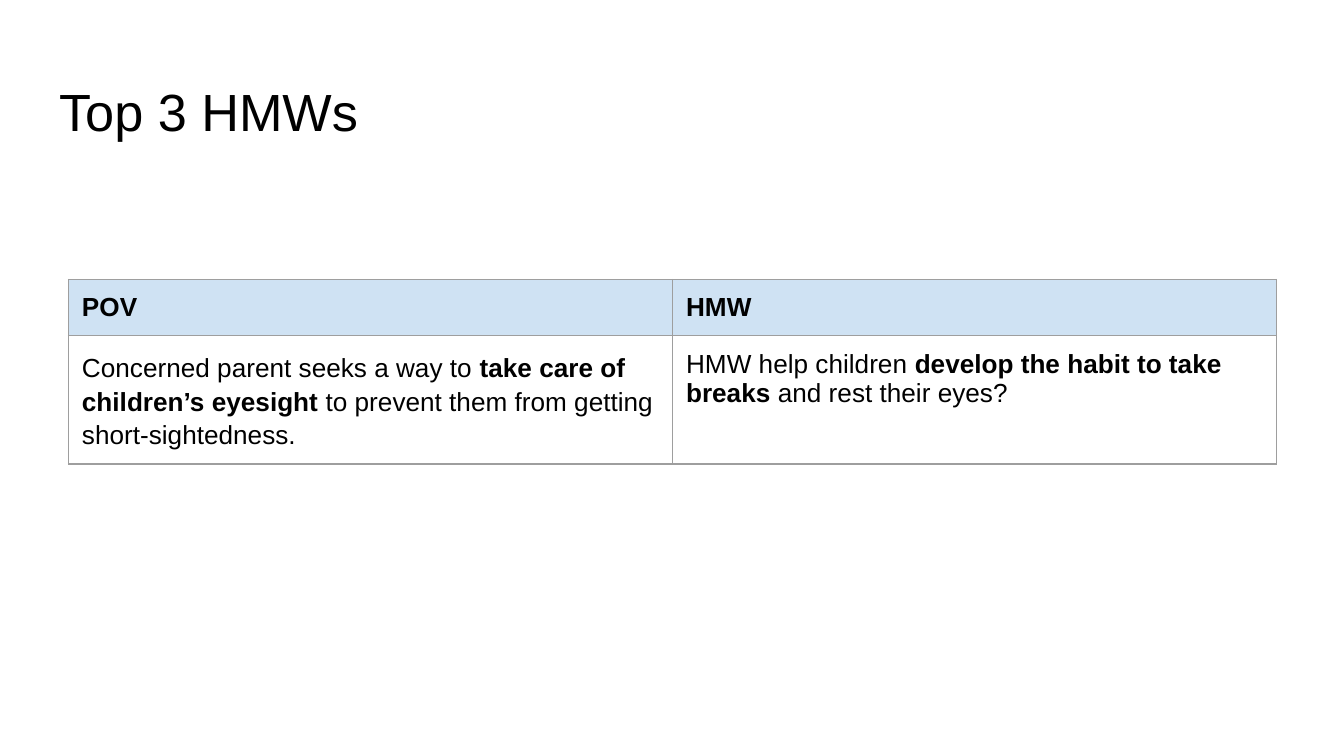
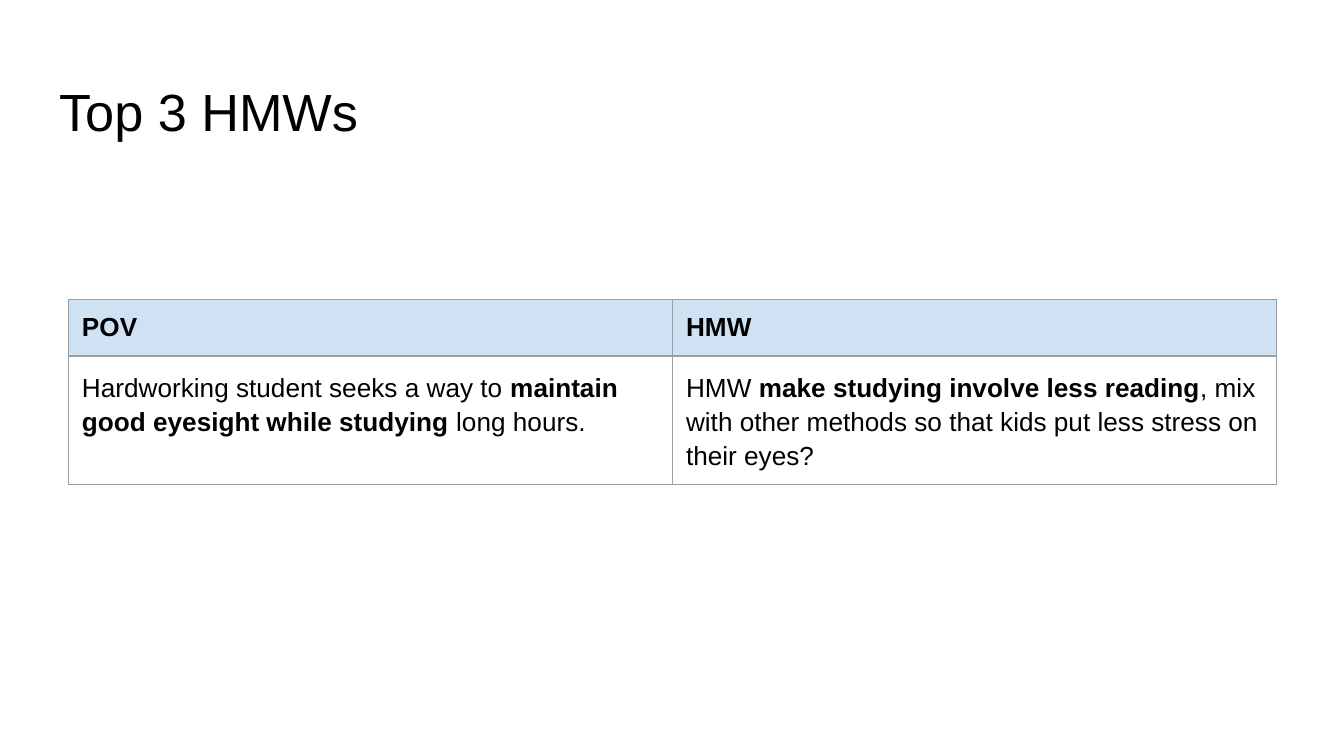
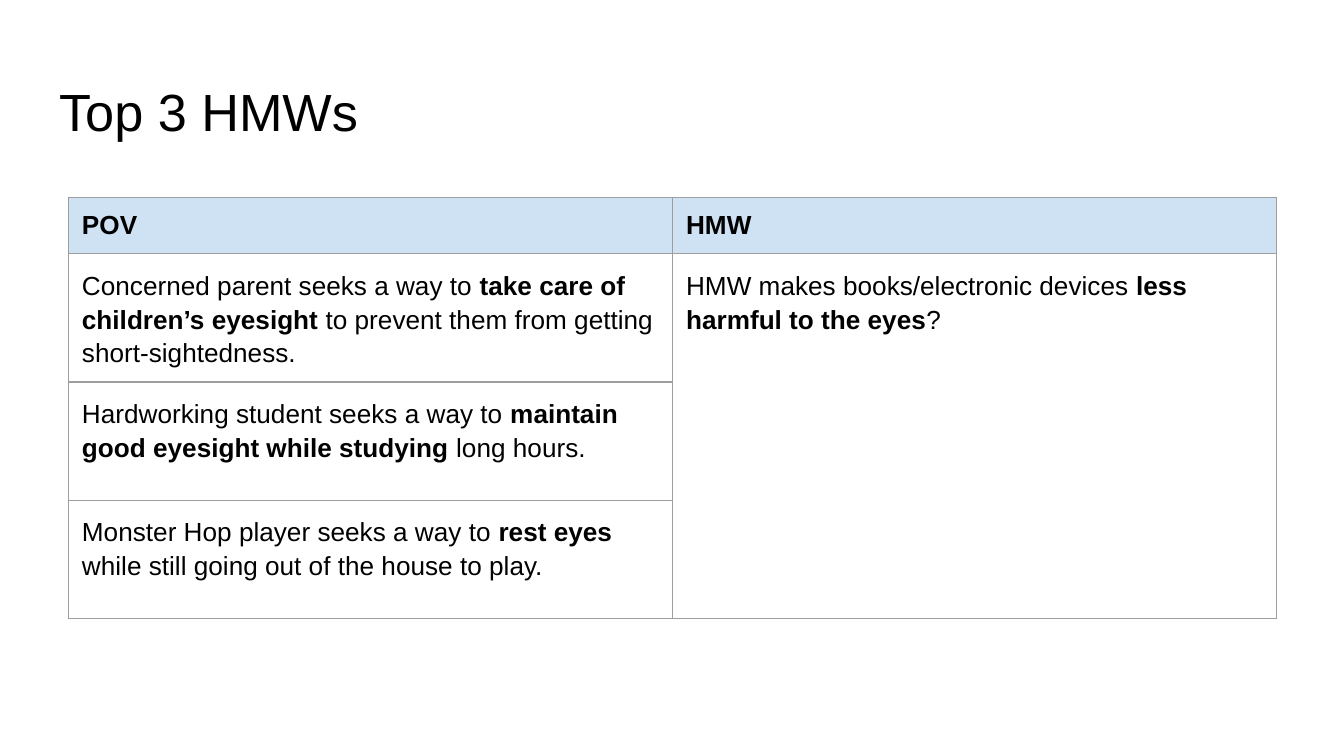
"""Build three slides that pair points of view with How Might We questions."""

from dataclasses import dataclass

from lxml import etree
from pptx import Presentation
from pptx.dml.color import RGBColor
from pptx.enum.text import MSO_ANCHOR, MSO_AUTO_SIZE, PP_ALIGN
from pptx.oxml.ns import qn
from pptx.presentation import Presentation as Deck
from pptx.slide import Slide
from pptx.table import _Cell
from pptx.text.text import TextFrame, _Paragraph
from pptx.util import Inches, Pt

LEFT = PP_ALIGN.LEFT
TOP = MSO_ANCHOR.TOP
NO_AUTOFIT = MSO_AUTO_SIZE.NONE

BLACK = RGBColor(0x00, 0x00, 0x00)
HEADER_BLUE = RGBColor(0xCF, 0xE2, 0xF3)
BORDER_GREY = RGBColor(0x9E, 0x9E, 0x9E)

SLIDE_WIDTH = Inches(10)
SLIDE_HEIGHT = SLIDE_WIDTH * 9 // 16
FONT = "Arial"
TITLE = "Top 3 HMWs"
TITLE_SIZE = Pt(28)
TABLE_SIZE = Pt(14)
BORDER_WIDTH = Pt(0.75)
BORDER_TAGS = ("a:lnL", "a:lnR", "a:lnT", "a:lnB")
INSET = Inches(0.1)
HEADERS = ("POV", "HMW")
TABLE_LEFT = Inches(0.51)
TABLE_WIDTH = Inches(8.99)
COLUMN_WIDTH = TABLE_WIDTH // len(HEADERS)
HEADER_HEIGHT = Inches(0.31)
ROW_HEIGHT = Inches(0.88)
TITLE_ONLY_LAYOUT = 5


@dataclass(frozen=True)
class Statement:
    """Text with an emphasised middle part and its paragraph spacing."""

    lead: str
    strong: str
    tail: str
    line_spacing: float = 1.15
    space_after: int = 16


@dataclass(frozen=True)
class Comparison:
    """Points of view in the left column and one question beside them."""

    top: float
    height: float
    views: tuple[Statement, ...]
    question: Statement


PARENT = Statement(
    "Concerned parent seeks a way to ",
    "take care of children’s eyesight",
    " to prevent them from getting short-sightedness.",
)
STUDENT = Statement(
    "Hardworking student seeks a way to ",
    "maintain good eyesight while studying",
    " long hours.",
)
PLAYER = Statement(
    "Monster Hop player seeks a way to ",
    "rest eyes",
    " while still going out of the house to play.",
)
BREAKS = Statement(
    "HMW help children ",
    "develop the habit to take breaks",
    " and rest their eyes?",
    line_spacing=1.0,
    space_after=0,
)
LESS_READING = Statement(
    "HMW ",
    "make studying involve less reading",
    ", mix with other methods so that kids put less stress on their eyes?",
    space_after=0,
)
LESS_HARMFUL = Statement(
    "HMW makes books/electronic devices ", "less harmful to the eyes", "?"
)

COMPARISONS = (
    Comparison(2.08, 1.44, (PARENT,), BREAKS),
    Comparison(2.23, 1.44, (STUDENT,), LESS_READING),
    Comparison(1.47, 3.2, (PARENT, STUDENT, PLAYER), LESS_HARMFUL),
)


def add_run(paragraph: _Paragraph, text: str, size: Pt, bold: bool = False) -> None:
    """Add one formatted run to a paragraph."""
    run = paragraph.add_run()
    run.text = text
    run.font.name = FONT
    run.font.size = size
    run.font.bold = bold
    run.font.color.rgb = BLACK


def set_insets(target: TextFrame | _Cell) -> None:
    """Give a text frame or cell the shared inner margins."""
    target.margin_left = target.margin_right = INSET
    target.margin_top = target.margin_bottom = INSET


def format_cell(cell: _Cell) -> None:
    """Set the margins, anchor and borders of a cell."""
    set_insets(cell)
    cell.vertical_anchor = TOP
    properties = cell._tc.get_or_add_tcPr()
    for tag in BORDER_TAGS:
        line = etree.SubElement(properties, qn(tag), w=str(BORDER_WIDTH))
        fill = etree.SubElement(line, qn("a:solidFill"))
        etree.SubElement(fill, qn("a:srgbClr"), val=str(BORDER_GREY))
    cell.fill.background()


def fill_header(cell: _Cell, text: str) -> None:
    """Write a bold column heading on the header colour."""
    cell.fill.solid()
    cell.fill.fore_color.rgb = HEADER_BLUE
    add_run(cell.text_frame.paragraphs[0], text, TABLE_SIZE, bold=True)


def fill_statement(cell: _Cell, statement: Statement) -> None:
    """Write a statement with its emphasised part in bold."""
    paragraph = cell.text_frame.paragraphs[0]
    paragraph.line_spacing = statement.line_spacing
    paragraph.space_after = Pt(statement.space_after)
    add_run(paragraph, statement.lead, TABLE_SIZE)
    add_run(paragraph, statement.strong, TABLE_SIZE, bold=True)
    add_run(paragraph, statement.tail, TABLE_SIZE)


def add_title(slide: Slide) -> None:
    """Place and format the slide title."""
    shape = slide.shapes.title
    shape.left, shape.top = Inches(0.34), Inches(0.49)
    shape.width, shape.height = Inches(9.32), Inches(0.63)
    frame = shape.text_frame
    frame.auto_size = NO_AUTOFIT
    frame.vertical_anchor = TOP
    frame.word_wrap = True
    set_insets(frame)
    paragraph = frame.paragraphs[0]
    paragraph.alignment = LEFT
    add_run(paragraph, TITLE, TITLE_SIZE)


def add_comparison_table(slide: Slide, comparison: Comparison) -> None:
    """Draw the table, with the question spanning all points of view."""
    view_count = len(comparison.views)
    height = Inches(comparison.height)
    shape = slide.shapes.add_table(
        view_count + 1,
        len(HEADERS),
        TABLE_LEFT,
        Inches(comparison.top),
        TABLE_WIDTH,
        height,
    )
    table = shape.table
    table.first_row = False
    table.horz_banding = False
    for column in table.columns:
        column.width = COLUMN_WIDTH
    for index, row in enumerate(table.rows):
        row.height = ROW_HEIGHT if index else HEADER_HEIGHT
    shape.height = height

    for cell in table.iter_cells():
        format_cell(cell)
    for index, header in enumerate(HEADERS):
        fill_header(table.cell(0, index), header)
    for index, view in enumerate(comparison.views, start=1):
        fill_statement(table.cell(index, 0), view)
    question_cell = table.cell(1, 1)
    if view_count > 1:
        question_cell.merge(table.cell(view_count, 1))
    fill_statement(question_cell, comparison.question)


def add_comparison_slide(presentation: Deck, comparison: Comparison) -> None:
    """Add one slide with the shared title and a comparison table."""
    layout = presentation.slide_layouts[TITLE_ONLY_LAYOUT]
    slide = presentation.slides.add_slide(layout)
    add_title(slide)
    add_comparison_table(slide, comparison)


def main() -> None:
    """Build and save the presentation."""
    presentation = Presentation()
    presentation.slide_width = SLIDE_WIDTH
    presentation.slide_height = SLIDE_HEIGHT
    for comparison in COMPARISONS:
        add_comparison_slide(presentation, comparison)
    presentation.save("out.pptx")


if __name__ == "__main__":
    main()
